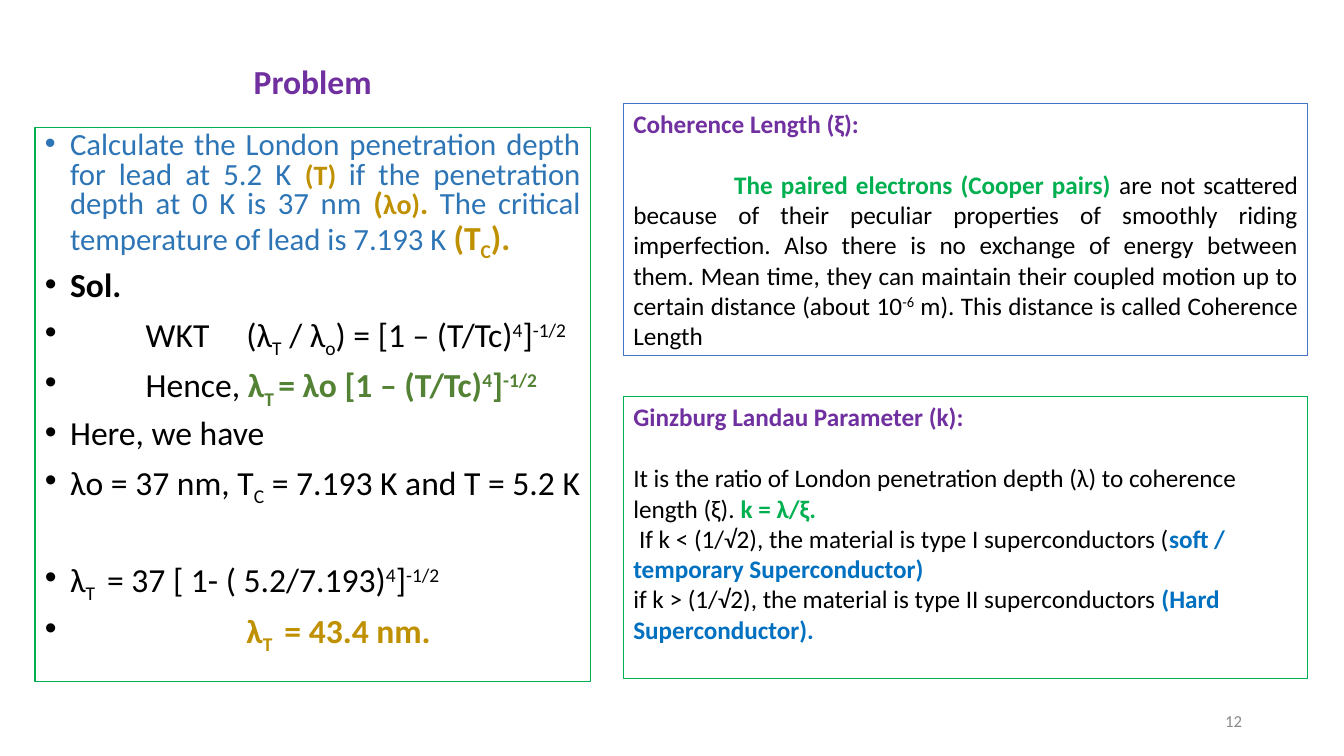
"""Build the slide on London penetration depth and superconductor parameters."""
from dataclasses import dataclass
from functools import partial

from lxml.etree import SubElement
from pptx import Presentation
from pptx.dml.color import RGBColor
from pptx.enum.shapes import MSO_SHAPE as Shape
from pptx.enum.text import MSO_ANCHOR as Anchor, PP_ALIGN as Align
from pptx.oxml.ns import qn
from pptx.util import Emu, Pt

PX = 9080
INCH = 914400
BLACK, GREY, PURPLE = "000000", "898989", "7030A0"
BLUE, STEEL, SKY = "2E75B6", "4472C4", "0070C0"
GOLD, GREEN, OLIVE = "BF9000", "00B050", "548235"


@dataclass
class Run:
    text: str
    color: str = BLACK
    bold: bool = False
    size: int = 18
    base: int = 0


@dataclass
class Para:
    runs: list[Run]
    align: Align = Align.LEFT
    before: float = 0
    spacing: float = 1.0
    bullet: str = ""


@dataclass
class Box:
    left: int
    top: int
    width: int
    height: int
    paras: list[Para]
    line: str = ""
    anchor: Anchor = Anchor.TOP


def px(n: int) -> Emu:
    """Turn whole pixels into EMU."""
    return Emu(n * PX)


def rgb(color: str) -> RGBColor:
    """Turn a hex string into a colour."""
    return RGBColor.from_string(color)


def add_bullet(p, color: str) -> None:
    """Give a paragraph a hanging round bullet."""
    pPr = p._p.get_or_add_pPr()
    pPr.set("marL", str(INCH // 4))
    pPr.set("indent", str(-INCH // 4))
    clr = SubElement(pPr, qn("a:buClr"))
    SubElement(clr, qn("a:srgbClr"), val=color)
    SubElement(pPr, qn("a:buFont"), typeface="Arial")
    SubElement(pPr, qn("a:buChar"), char="•")


def add_tabs(p, count: int) -> None:
    """Set left tab stops one inch apart."""
    tabs = SubElement(p._p.get_or_add_pPr(), qn("a:tabLst"))
    for i in range(1, count + 1):
        SubElement(tabs, qn("a:tab"), pos=str(i * INCH), algn="l")


def add_run(p, run: Run) -> None:
    """Add one formatted run to a paragraph."""
    r = p.add_run()
    r.text = run.text
    r.font.name = "Calibri"
    r.font.size = Pt(run.size)
    r.font.bold = run.bold
    r.font.color.rgb = rgb(run.color)
    if run.base:
        r._r.get_or_add_rPr().set("baseline", str(run.base * 1000))


def fill_para(p, para: Para) -> None:
    """Format a paragraph and add its runs."""
    if para.bullet:
        add_bullet(p, para.bullet)
    tab_count = sum(run.text.count("\t") for run in para.runs)
    if tab_count:
        add_tabs(p, tab_count)
    p.alignment = para.align
    p.line_spacing = para.spacing
    p.space_before = Pt(para.before)
    for run in para.runs:
        add_run(p, run)


def add_box(s, box: Box) -> None:
    """Draw a text box, or a rectangle when it has an outline."""
    area = [px(n) for n in (box.left, box.top, box.width, box.height)]
    if box.line:
        sp = s.shapes.add_shape(Shape.RECTANGLE, *area)
        sp.shadow.inherit = False
        sp.fill.background()
        sp.line.color.rgb = rgb(box.line)
        sp.line.width = Pt(0.75)
    else:
        sp = s.shapes.add_textbox(*area)
    tf = sp.text_frame
    tf.word_wrap = True
    tf.vertical_anchor = box.anchor
    for i, para in enumerate(box.paras):
        fill_para(tf.paragraphs[0] if i == 0 else tf.add_paragraph(), para)


Big = partial(Run, size=24)
Sub = partial(Big, base=-25)
Sup = partial(Big, base=30)
Ask = partial(Run, color=BLUE, size=22)
Given = partial(Run, color=GOLD, bold=True)
Head = partial(Run, color=PURPLE, bold=True)
Step = partial(Para, align=Align.JUSTIFY, before=10, spacing=0.8, bullet=BLACK)


def power(text: str, **style) -> list[Run]:
    """Give a bracket raised to 4, then closed and raised to -1/2."""
    return [Big(text, **style), Sup("4", **style),
            Big("]", **style), Sup("-1/2", **style)]


OLIVE_BOLD = dict(color=OLIVE, bold=True)
GOLD_BOLD = dict(color=GOLD, bold=True)

PROBLEM = [
    Step([Ask("Calculate the London penetration depth for lead at 5.2 K "),
          Given("(T) ", size=20),
          Ask("if the penetration depth at 0 K is 37 nm "),
          Given("(", size=22), Given("λo)", size=20), Given(". ", size=22),
          Ask("The critical temperature of lead is 7.193 K "),
          Big("(T", **GOLD_BOLD), Sub("C", **GOLD_BOLD),
          Big("). ", **GOLD_BOLD)], before=0, bullet=BLUE),
    Step([Big("Sol.", bold=True)]),
    Step([Big("\tWKT\t(λ"), Sub("T"), Big(" / λ"), Sub("o"),
          *power(") = [1 – (T/Tc)")]),
    Step([Big("\tHence, "), Big("λ", **OLIVE_BOLD), Sub("T ", **OLIVE_BOLD),
          *power("= λo [1 – (T/Tc)", **OLIVE_BOLD)]),
    Step([Big("Here, we have ")]),
    Step([Big("λo = 37 nm, T"), Sub("C"), Big(" = 7.193 K and T = 5.2 K")]),
    Step([Big("λ"), Sub("T "), *power(" = 37 [ 1- ( 5.2/7.193)")], before=43.4),
    Step([Big("\t\t"), Big("λ", **GOLD_BOLD), Sub("T ", **GOLD_BOLD),
          Big(" = 43.4 nm.", **GOLD_BOLD)]),
]

COHERENCE = [
    Para([Head("Coherence Length (ξ):")]),
    Para([Run("\tThe paired electrons (Cooper pairs) ", GREEN, True),
          Run("are not scattered because of their peculiar properties of "
              "smoothly riding imperfection. Also there is no exchange of "
              "energy between them. Mean time, they can maintain their coupled "
              "motion up to certain distance (about 10"),
          Run("-6", base=30),
          Run(" m). This distance is called Coherence Length")],
         align=Align.JUSTIFY, before=22),
]

GINZBURG = [
    Para([Head("Ginzburg Landau Parameter (k):")]),
    Para([Run("It is the ratio of London penetration depth (λ) to coherence "
              "length (ξ). "), Run("k = λ/ξ.", GREEN, True)], before=22),
    Para([Run(" If k < (1/√2), the material is type I superconductors ("),
          Run("soft / temporary Superconductor)", SKY, True)]),
    Para([Run("if k > (1/√2), the material is type II superconductors "),
          Run("(Hard Superconductor).", SKY, True)]),
]

BOXES = [
    Box(215, 40, 195, 87, [Para([Head("Problem", size=24)], Align.CENTER,
                                spacing=0.9)], anchor=Anchor.MIDDLE),
    Box(35, 127, 555, 554, PROBLEM, GREEN),
    Box(949, 700, 302, 40, [Para([Run("12", GREY, size=12)], Align.RIGHT)],
        anchor=Anchor.MIDDLE),
    Box(623, 103, 684, 252, COHERENCE, STEEL),
    Box(623, 396, 684, 282, GINZBURG, GREEN),
]


def main() -> None:
    """Build and save the slide."""
    prs = Presentation()
    prs.slide_width, prs.slide_height = px(1343), px(755)
    s = prs.slides.add_slide(prs.slide_layouts[6])
    for box in BOXES:
        add_box(s, box)
    prs.save("out.pptx")


if __name__ == "__main__":
    main()
